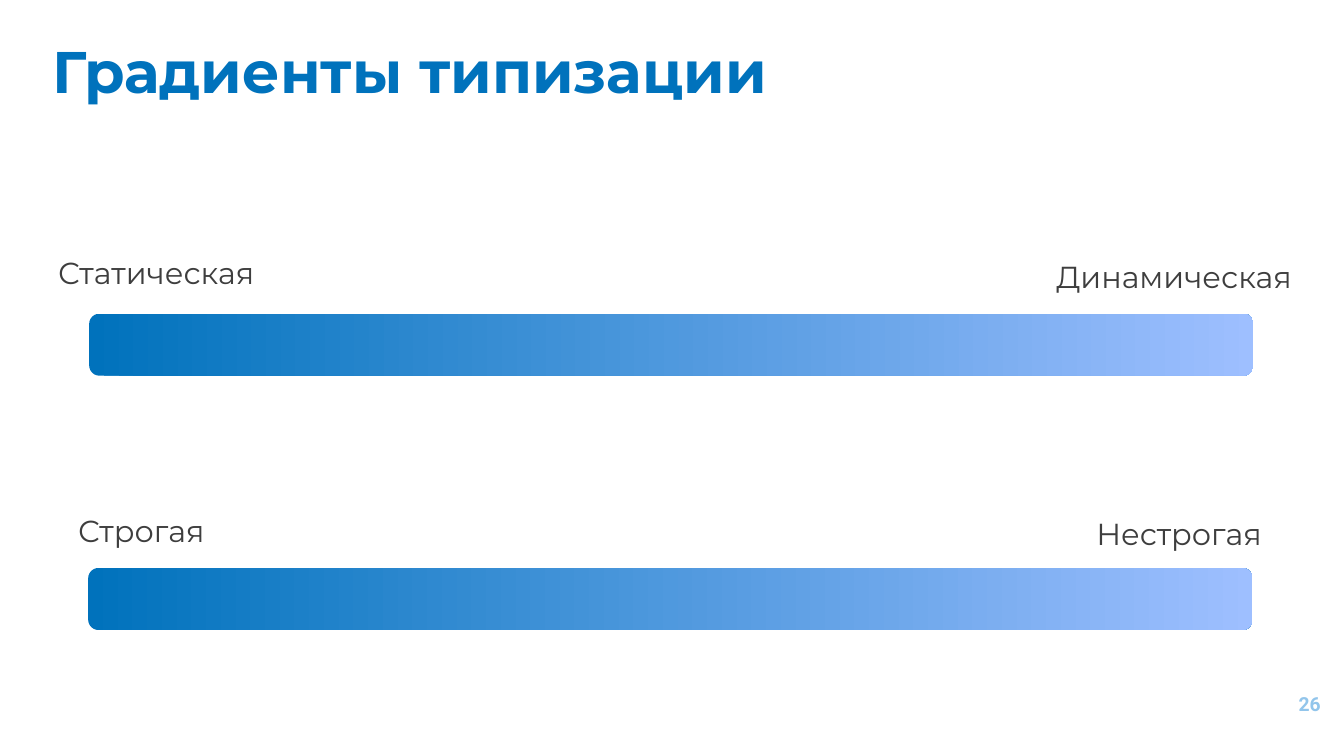
from dataclasses import dataclass

from pptx import Presentation
from pptx.dml.color import RGBColor
from pptx.enum.shapes import MSO_SHAPE
from pptx.enum.text import MSO_ANCHOR, PP_ALIGN
from pptx.slide import Slide
from pptx.util import Emu, Pt

EMU_PER_PX = 9144
LEFT, CENTER, RIGHT = PP_ALIGN.LEFT, PP_ALIGN.CENTER, PP_ALIGN.RIGHT
TOP, MIDDLE = MSO_ANCHOR.TOP, MSO_ANCHOR.MIDDLE
ROUNDED = MSO_SHAPE.ROUNDED_RECTANGLE

BLUE, LIGHT_BLUE, PAGE_BLUE, GREY = "0072BC", "9EBFFF", "92C5EB", "3E3E3E"
BAR_THICKNESS, BAR_LENGTH = 125, 2344
LABEL_HEIGHT = 84


@dataclass(frozen=True)
class Box:
    """A rectangle in px."""
    left: int
    top: int
    width: int
    height: int

    def emu(self) -> list[Emu]:
        """Return left, top, width and height in EMU."""
        return [px(n) for n in (self.left, self.top, self.width, self.height)]


@dataclass(frozen=True)
class Label:
    """The name of one end of a scale."""
    text: str
    left: int
    top: int
    width: int


@dataclass(frozen=True)
class Scale:
    """A gradient bar with a label at each end."""
    left: int
    top: int
    start: Label
    end: Label


SCALES = [
    Scale(1289, -478, Label("Статическая", 69, 506, 491),
          Label("Динамическая", 2054, 514, 620)),
    Scale(1287, 34, Label("Строгая", 109, 1026, 351),
          Label("Нестрогая", 2177, 1033, 394)),
]


def px(length: int) -> Emu:
    """Turn px into EMU."""
    return Emu(length * EMU_PER_PX)


def color(value: str) -> RGBColor:
    """Turn a hex string into a colour."""
    return RGBColor.from_string(value)


def add_text(slide: Slide, text: str, box: Box, *, size: int, fill: str,
             font: str = "Montserrat", bold: bool = False, align=LEFT,
             anchor=TOP, inset: int = 10) -> None:
    """Add a text box with one formatted paragraph."""
    frame = slide.shapes.add_textbox(*box.emu()).text_frame
    frame.word_wrap = True
    frame.vertical_anchor = anchor
    frame.margin_top = frame.margin_bottom = px(inset)
    frame.margin_left = frame.margin_right = px(10)
    paragraph = frame.paragraphs[0]
    paragraph.alignment = align
    run = paragraph.add_run()
    run.text = text
    run.font.name = font
    run.font.size = Pt(size)
    run.font.bold = bold
    run.font.color.rgb = color(fill)


def add_bar(slide: Slide, left: int, top: int) -> None:
    """Add a rounded bar, turned on its side, that fades from left to right."""
    box = Box(left, top, BAR_THICKNESS, BAR_LENGTH)
    shape = slide.shapes.add_shape(ROUNDED, *box.emu())
    shape.rotation = 90
    shape.shadow.inherit = False
    shape.line.fill.background()
    shape.fill.gradient()
    shape.fill.gradient_angle = 90
    for stop, value in zip(shape.fill.gradient_stops, (BLUE, LIGHT_BLUE)):
        stop.color.rgb = color(value)


def add_scale(slide: Slide, scale: Scale) -> None:
    """Add a bar and the labels of its two ends."""
    add_bar(slide, scale.left, scale.top)
    for label in (scale.start, scale.end):
        box = Box(label.left, label.top, label.width, LABEL_HEIGHT)
        add_text(slide, label.text, box, size=44, fill=GREY, align=CENTER, inset=5)


def main() -> None:
    """Build and save the slide."""
    presentation = Presentation()
    presentation.slide_width, presentation.slide_height = px(2706), px(1500)
    slide = presentation.slides.add_slide(presentation.slide_layouts[6])
    add_text(slide, "Градиенты типизации", Box(96, 61, 2425, 192),
             size=85, fill=BLUE, bold=True)
    add_text(slide, "26", Box(2507, 1360, 162, 115), size=28, fill=PAGE_BLUE,
             font="Roboto", bold=True, align=RIGHT, anchor=MIDDLE)
    for scale in SCALES:
        add_scale(slide, scale)
    presentation.save("out.pptx")


if __name__ == "__main__":
    main()
